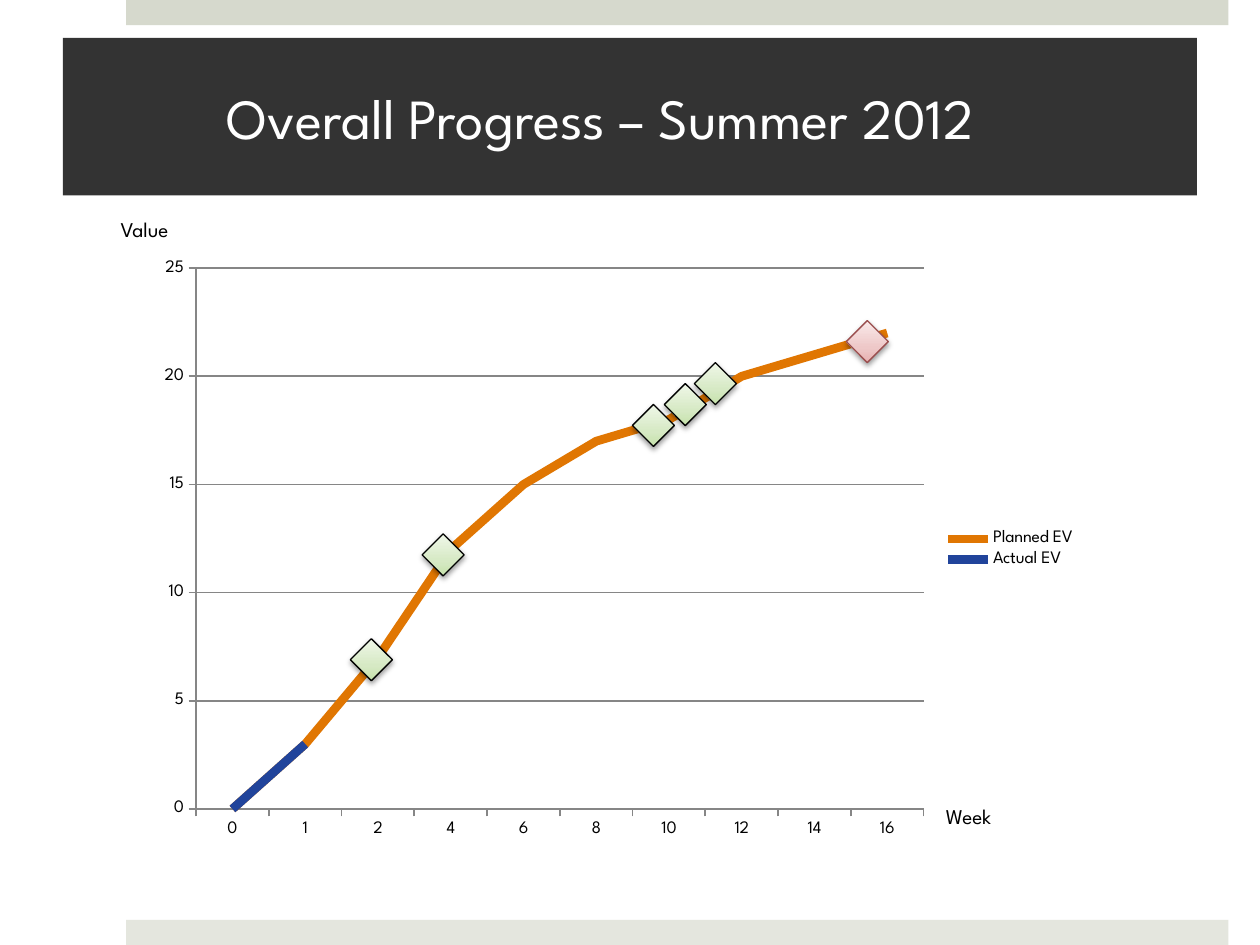
from dataclasses import dataclass

from lxml.etree import SubElement
from pptx import Presentation
from pptx.chart.data import CategoryChartData
from pptx.dml.color import RGBColor
from pptx.enum.chart import XL_CHART_TYPE as ChartType
from pptx.enum.chart import XL_LEGEND_POSITION as LegendPosition
from pptx.enum.chart import XL_MARKER_STYLE as MarkerStyle
from pptx.enum.chart import XL_TICK_MARK as TickMark
from pptx.enum.shapes import MSO_SHAPE as ShapeType
from pptx.enum.text import MSO_ANCHOR as Anchor
from pptx.enum.text import MSO_AUTO_SIZE as AutoSize
from pptx.enum.text import PP_ALIGN as Align
from pptx.oxml.ns import qn
from pptx.util import Pt


@dataclass(frozen=True)
class Theme:
    """Colours, font and type sizes of the slide."""
    font: str = "League Spartan"
    title_size: float = 32.4
    label_size: float = 12
    chart_size: float = 10
    white: str = "FFFFFF"
    black: str = "000000"
    title_fill: str = "333333"
    top_bar: str = "D6D9CD"
    bottom_bar: str = "E4E6DE"
    axis: str = "868686"
    planned: str = "E07602"
    actual: str = "21449B"
    green: tuple = ("EFF7E8", "D6E9C4", "C5E2AA")
    red: tuple = ("F9E9E9", "EEC8C8", "E8B0B0")
    red_line: str = "9A4E4E"


THEME = Theme()
WEEKS = (0, 1, 2, 4, 6, 8, 10, 12, 14, 16)
PLANNED = (0, 3, 7, 12, 15, 17, 18, 20, 21, 22)
ACTUAL = (0, 3) + (None,) * 8
MILESTONE_SIZE = 24
DONE_MILESTONES = ((200.2, 365), (241.2, 305.1), (361.4, 231.1), (379.6, 219.2), (396.8, 207.2))
OPEN_MILESTONE = (483.6, 183.2)


def color(value):
    """Return a hex string as a colour."""
    return RGBColor.from_string(value)


def style_font(font, size, value):
    """Give a font the theme typeface, a size and a colour."""
    font.name = THEME.font
    font.size = Pt(size)
    font.color.rgb = color(value)


def style_line(line, value, width):
    """Give a line a colour and a width."""
    line.color.rgb = color(value)
    line.width = Pt(width)


def add_bar(slide, left, top, width, height, fill):
    """Add a plain filled rectangle."""
    bar = slide.shapes.add_shape(ShapeType.RECTANGLE, Pt(left), Pt(top), Pt(width), Pt(height))
    bar.shadow.inherit = False
    bar.fill.solid()
    bar.fill.fore_color.rgb = color(fill)
    bar.line.fill.background()
    return bar


def add_title(slide, text):
    """Add the dark title band with its text."""
    frame = add_bar(slide, 36, 21.6, 648, 90, THEME.title_fill).text_frame
    frame.text = text
    frame.word_wrap = True
    frame.vertical_anchor = Anchor.MIDDLE
    frame.margin_left, frame.margin_right = Pt(93.6), Pt(21.6)
    paragraph = frame.paragraphs[0]
    paragraph.alignment = Align.LEFT
    style_font(paragraph.runs[0].font, THEME.title_size, THEME.white)


def add_axis_label(slide, text, left, top, width):
    """Add an axis name in a box that fits its text."""
    frame = slide.shapes.add_textbox(Pt(left), Pt(top), Pt(width), Pt(21.6)).text_frame
    frame.text = text
    frame.word_wrap = False
    frame.auto_size = AutoSize.SHAPE_TO_FIT_TEXT
    style_font(frame.paragraphs[0].runs[0].font, THEME.label_size, THEME.black)


def add_color_element(parent, value):
    """Append an RGB colour element."""
    return SubElement(parent, qn("a:srgbClr"), val=value)


def add_milestone(slide, left, top, stops, line):
    """Add a shaded diamond with a soft shadow."""
    diamond = slide.shapes.add_shape(
        ShapeType.DIAMOND, Pt(left), Pt(top), Pt(MILESTONE_SIZE), Pt(MILESTONE_SIZE))
    style_line(diamond.line, line, 0.75)
    diamond.shadow.inherit = False
    diamond.fill.gradient()
    properties = diamond.element.spPr
    gradient = properties.find(qn("a:gradFill"))
    for child in list(gradient):
        gradient.remove(child)
    stop_list = SubElement(gradient, qn("a:gsLst"))
    for position, value in zip((0, 65, 100), stops):
        add_color_element(SubElement(stop_list, qn("a:gs"), pos=str(position * 1000)), value)
    SubElement(gradient, qn("a:lin"), ang="5400000", scaled="0")
    shadow = SubElement(
        properties.find(qn("a:effectLst")), qn("a:outerShdw"),
        blurRad=str(Pt(3.1)), dist=str(Pt(1.6)), dir="5400000", rotWithShape="0")
    SubElement(add_color_element(shadow, THEME.black), qn("a:alpha"), val="38000")


def place_plot(chart, **edges):
    """Fix the inner plot area as fractions of the chart."""
    plot_area = chart.element.chart.plotArea
    for old in plot_area.findall(qn("c:layout")):
        plot_area.remove(old)
    layout = SubElement(plot_area, qn("c:layout"))
    plot_area.insert(0, layout)
    manual = SubElement(layout, qn("c:manualLayout"))
    SubElement(manual, qn("c:layoutTarget"), val="inner")
    for name in ("xMode", "yMode"):
        SubElement(manual, qn(f"c:{name}"), val="edge")
    for name, value in edges.items():
        SubElement(manual, qn(f"c:{name}"), val=str(value))


def add_progress_chart(slide):
    """Add the line chart of planned and actual value."""
    data = CategoryChartData()
    data.categories = WEEKS
    data.add_series("Planned EV", PLANNED)
    data.add_series("Actual EV", ACTUAL)
    chart = slide.shapes.add_chart(
        ChartType.LINE, Pt(83.5), Pt(142.6), Pt(538.6), Pt(342.7), data).chart
    chart.has_title = False
    style_font(chart.font, THEME.chart_size, THEME.black)
    chart.has_legend = True
    chart.legend.position = LegendPosition.RIGHT
    chart.legend.include_in_layout = False
    for axis in (chart.category_axis, chart.value_axis):
        axis.major_tick_mark = TickMark.OUTSIDE
        axis.minor_tick_mark = TickMark.NONE
        style_line(axis.format.line, THEME.axis, 1)
    values = chart.value_axis
    values.minimum_scale, values.maximum_scale, values.major_unit = 0, 25, 5
    values.has_major_gridlines = True
    style_line(values.major_gridlines.format.line, THEME.axis, 1)
    plot = chart.plots[0]
    plot.vary_by_categories = False
    for series, value in zip(plot.series, (THEME.planned, THEME.actual)):
        series.smooth = False
        series.marker.style = MarkerStyle.NONE
        style_line(series.format.line, value, 5)
    place_plot(chart, x=0.053, y=0.031, w=0.772, h=0.902)


def main():
    """Build and save the progress slide."""
    presentation = Presentation()
    presentation.slide_width, presentation.slide_height = Pt(720), Pt(540)
    slide = presentation.slides.add_slide(presentation.slide_layouts[6])
    add_bar(slide, 72, 0, 630, 14.4, THEME.top_bar)
    add_bar(slide, 72, 525.6, 630, 14.4, THEME.bottom_bar)
    add_progress_chart(slide)
    add_axis_label(slide, "Week", 533.5, 455.8, 43.2)
    add_axis_label(slide, "Value", 61.9, 120.2, 42.5)
    for left, top in DONE_MILESTONES:
        add_milestone(slide, left, top, THEME.green, THEME.black)
    add_milestone(slide, *OPEN_MILESTONE, THEME.red, THEME.red_line)
    add_title(slide, "Overall Progress – Summer 2012")
    presentation.save("out.pptx")


if __name__ == "__main__":
    main()
